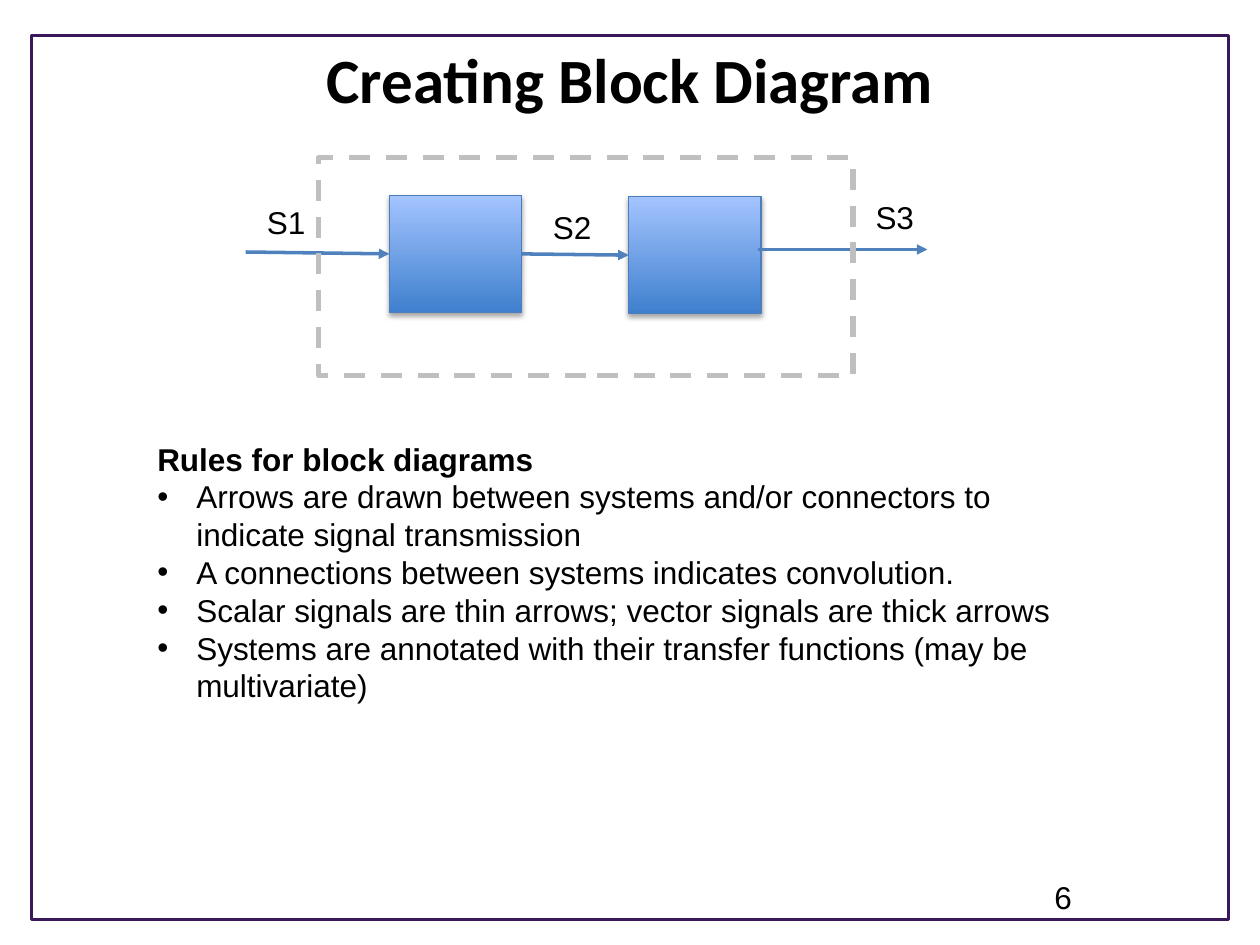
from dataclasses import dataclass

from lxml import etree
from pptx import Presentation
from pptx.dml.color import RGBColor
from pptx.enum.dml import MSO_LINE_DASH_STYLE as Dash
from pptx.enum.shapes import MSO_CONNECTOR as Connector, MSO_SHAPE as Shape
from pptx.enum.text import PP_ALIGN as Align
from pptx.oxml import parse_xml
from pptx.oxml.ns import nsdecls, qn
from pptx.util import Inches, Pt

BLACK = RGBColor(0x00, 0x00, 0x00)
BORDER = RGBColor(0x3B, 0x18, 0x5A)
BLOCK_DARK = RGBColor(0x3F, 0x80, 0xCE)
BLOCK_LIGHT = RGBColor(0xA4, 0xC4, 0xFF)
BLOCK_LINE = RGBColor(0x4B, 0x7E, 0xBC)
ARROW = RGBColor(0x4F, 0x81, 0xBD)
FRAME = RGBColor(0xBF, 0xBF, 0xBF)

RULES = [
    "Arrows are drawn between systems and/or connectors to indicate signal transmission",
    "A connections between systems indicates convolution.",
    "Scalar signals are thin arrows; vector signals are thick arrows",
    "Systems are annotated with their transfer functions (may be multivariate)",
]


@dataclass(frozen=True)
class Box:
    left: float
    top: float
    width: float
    height: float

    def lengths(self):
        return [Inches(n) for n in (self.left, self.top, self.width, self.height)]


@dataclass(frozen=True)
class Signal:
    name: str
    label: Box
    start: tuple[float, float]
    end: tuple[float, float]
    source: int | None = None  # index of the block it leaves
    target: int | None = None  # index of the block it enters


BLOCKS = [Box(3.09, 1.55, 1.05, 0.93), Box(4.99, 1.56, 1.05, 0.93)]
SIGNALS = [
    Signal("S1", Box(2.02, 1.56, 0.51, 0.4), (1.95, 2), (3.09, 2.02), target=0),
    Signal("S2", Box(4.29, 1.6, 0.51, 0.4), (4.14, 2.02), (4.99, 2.03), 0, 1),
    Signal("S3", Box(6.85, 1.52, 0.51, 0.4), (6.02, 1.98), (7.36, 1.98)),
]


def add_outline(slide, box: Box, color: RGBColor, width: float):
    shape = slide.shapes.add_shape(Shape.RECTANGLE, *box.lengths())
    shape.shadow.inherit = False
    shape.fill.background()
    shape.line.color.rgb = color
    shape.line.width = Pt(width)
    return shape


def add_block(slide, box: Box):
    shape = add_outline(slide, box, BLOCK_LINE, 0.75)
    shape.fill.gradient()
    shape.fill.gradient_angle = 90
    for stop, color in zip(shape.fill.gradient_stops, (BLOCK_DARK, BLOCK_LIGHT)):
        stop.color.rgb = color
    # Soft shadow straight below the block
    effects = shape.element.spPr.find(qn("a:effectLst"))
    effects.append(parse_xml(
        f'<a:outerShdw {nsdecls("a")} blurRad="{Pt(3.1)}" dist="{Pt(1.8)}" '
        'dir="5400000" rotWithShape="0"><a:srgbClr val="000000">'
        '<a:alpha val="35000"/></a:srgbClr></a:outerShdw>'))
    return shape


def add_text(slide, box: Box, lines: list[str], size: float = 18,
             font: str = "Arial", wrap: bool = True):
    shape = slide.shapes.add_textbox(*box.lengths())
    frame = shape.text_frame
    frame.word_wrap = wrap
    frame.text = "\n".join(lines)
    for paragraph in frame.paragraphs:
        for run in paragraph.runs:
            run.font.size = Pt(size)
            run.font.name = font
            run.font.color.rgb = BLACK
    return frame


def add_bullet(paragraph, indent: float) -> None:
    properties = paragraph._p.get_or_add_pPr()
    properties.set("marL", str(Inches(indent)))
    properties.set("indent", str(-Inches(indent)))
    etree.SubElement(properties, qn("a:buFont")).set("typeface", "Arial")
    etree.SubElement(properties, qn("a:buChar")).set("char", "•")


def add_signal(slide, signal: Signal, blocks: list) -> None:
    ends = [Inches(n) for n in (*signal.start, *signal.end)]
    arrow = slide.shapes.add_connector(Connector.STRAIGHT, *ends)
    if signal.source is not None:
        arrow.begin_connect(blocks[signal.source], 3)
    if signal.target is not None:
        arrow.end_connect(blocks[signal.target], 1)
    arrow.line.color.rgb = ARROW
    arrow.line.width = Pt(2)
    etree.SubElement(arrow.line._get_or_add_ln(), qn("a:tailEnd")).set("type", "triangle")
    etree.SubElement(arrow.element.spPr, qn("a:effectLst"))
    add_text(slide, signal.label, [signal.name], wrap=False)


def main() -> None:
    presentation = Presentation()
    presentation.slide_width = Inches(10)
    presentation.slide_height = Inches(7.5)
    slide = presentation.slides.add_slide(presentation.slide_layouts[6])

    # Page border, title and number
    add_outline(slide, Box(0.25, 0.28, 9.5, 7.02), BORDER, 1.75)
    title = add_text(slide, Box(0.5, 0.25, 9, 0.92), ["Creating Block Diagram"], 36, "Calibri")
    title.margin_top = Inches(0.07)
    title.paragraphs[0].alignment = Align.CENTER
    title.paragraphs[0].runs[0].font.bold = True
    add_text(slide, Box(8.27, 6.92, 0.56, 0.4), ["6"])

    # Block diagram
    blocks = [add_block(slide, box) for box in BLOCKS]
    for signal in SIGNALS:
        add_signal(slide, signal, blocks)

    # Rules
    rules = add_text(slide, Box(1.15, 3.44, 7.3, 2.22), ["Rules for block diagrams", *RULES])
    heading, *bullets = rules.paragraphs
    heading.runs[0].font.bold = True
    for paragraph in bullets:
        add_bullet(paragraph, 0.31)

    # Dashed frame around the system
    frame = add_outline(slide, Box(2.53, 1.25, 4.24, 1.73), FRAME, 3)
    frame.line.dash_style = Dash.DASH

    presentation.save("out.pptx")


if __name__ == "__main__":
    main()
